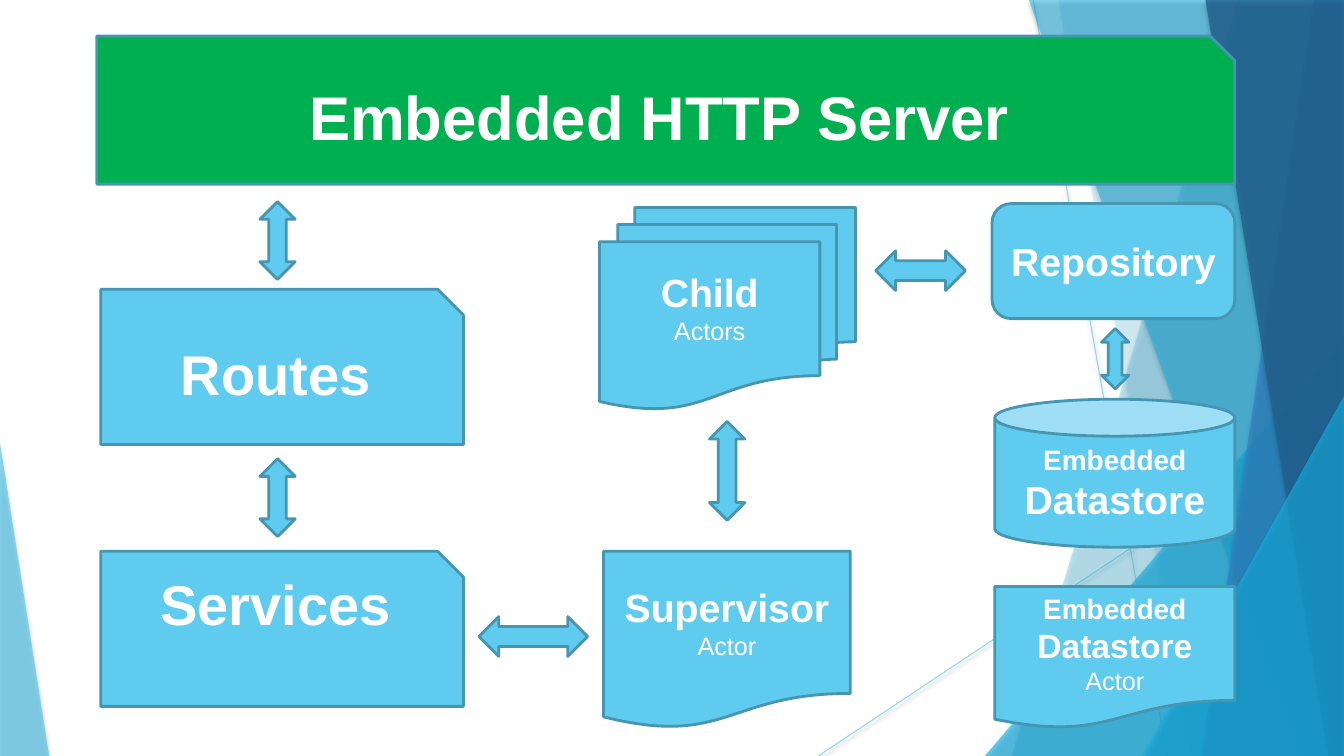
from dataclasses import dataclass

from lxml.etree import SubElement
from pptx import Presentation
from pptx.dml.color import RGBColor
from pptx.enum.shapes import MSO_CONNECTOR, MSO_SHAPE
from pptx.enum.text import MSO_ANCHOR, MSO_AUTO_SIZE, PP_ALIGN
from pptx.oxml.ns import qn
from pptx.util import Cm, Pt


@dataclass(frozen=True)
class Theme:
    font: str = "Arial"
    text: str = "FFFFFF"
    sky: str = "5FCBEF"
    edge: str = "4696B1"
    green: str = "00B050"
    cyan: str = "17B0E4"
    blue: str = "2E83C3"
    navy: str = "226292"
    title: int = 44
    heading: int = 40
    name: int = 28
    mid: int = 24
    small: int = 20
    note: int = 18
    outline: float = 2


T = Theme()
W, H = 33.87, 19.05


# Shared drawing helpers
def set_alpha(shape, percent):
    for clr in shape.element.spPr.iter(qn("a:srgbClr")):
        SubElement(clr, qn("a:alpha"), val=str(percent * 1000))


def cast_shadow(shape, alpha, blur, dist):
    effects = SubElement(shape.element.spPr, qn("a:effectLst"))
    shadow = SubElement(effects, qn("a:outerShdw"), blurRad=str(Pt(blur)),
                        dist=str(Pt(dist)), dir="5400000", rotWithShape="0")
    clr = SubElement(shadow, qn("a:srgbClr"), val="000000")
    SubElement(clr, qn("a:alpha"), val=str(alpha * 1000))


def tint_facet(sp, color, alpha):
    sp.fill.solid()
    sp.fill.fore_color.rgb = RGBColor.from_string(color)
    sp.line.fill.background()
    set_alpha(sp, alpha)
    cast_shadow(sp, 35, 3, 2)


def write(sp, lines, bottom=0.13):
    """Write one centred paragraph per (text, size, bold) line."""
    tf = sp.text_frame
    tf.word_wrap = True
    tf.auto_size = MSO_AUTO_SIZE.NONE
    tf.vertical_anchor = MSO_ANCHOR.MIDDLE
    tf.margin_left = tf.margin_right = Cm(0.25)
    tf.margin_top, tf.margin_bottom = Cm(0.13), Cm(bottom)
    for i, (text, size, bold) in enumerate(lines):
        p = tf.add_paragraph() if i else tf.paragraphs[0]
        p.alignment = PP_ALIGN.CENTER
        r = p.add_run()
        r.text = text
        r.font.name, r.font.size, r.font.bold = T.font, Pt(size), bold
        r.font.color.rgb = RGBColor.from_string(T.text)


def add_block(s, kind, box, lines=(), fill=T.sky, bottom=0.13):
    sp = s.shapes.add_shape(kind, *map(Cm, box))
    sp.shadow.inherit = False
    sp.fill.solid()
    sp.fill.fore_color.rgb = RGBColor.from_string(fill)
    sp.line.color.rgb = RGBColor.from_string(T.edge)
    sp.line.width = Pt(T.outline)
    if lines:
        write(sp, lines, bottom)
    return sp


# Translucent facets behind the diagram
def backdrop(s, box):
    x, y, w, h = box
    for x1, y1, x2, y2 in ((26.04, 0, 29.41, h), (w, 10.24, 20.62, h)):
        line = s.shapes.add_connector(MSO_CONNECTOR.STRAIGHT, Cm(x + x1), Cm(y + y1),
                                      Cm(x + x2), Cm(y + y2))
        line.line.color.rgb = RGBColor.from_string(T.sky)
        line.line.width = Pt(0.74)
        set_alpha(line, 70)
        cast_shadow(line, 38, 3.1, 1.6)

    def band(top, foot, color, alpha):
        points = [(top, 0), (w, 0), (w, h), (foot, h)]
        points = [(Cm(x + px), Cm(y + py)) for px, py in points]
        fb = s.shapes.build_freeform(*points[0])
        fb.add_line_segments(points[1:], close=True)
        tint_facet(fb.convert_to_shape(), color, alpha)

    def corner(left, top, width, apex, color, alpha):
        sp = s.shapes.add_shape(MSO_SHAPE.ISOSCELES_TRIANGLE, Cm(x + left),
                                Cm(y + top), Cm(width), Cm(h - top))
        sp.adjustments[0] = apex
        tint_facet(sp, color, alpha)

    band(31.19, 25.5, T.sky, 36)
    band(26.67, 30.02, T.sky, 20)
    corner(24.82, 8.46, w - 24.82, 1, T.cyan, 66)
    band(25.93, 32.79, T.cyan, 50)
    band(33.1, 30.28, T.blue, 70)
    band(30.38, 33.48, T.navy, 80)
    corner(28.8, 9.98, w - 28.8, 1, T.cyan, 66)
    corner(0, 11.15, 1.24, 0, T.sky, 70)


# Server banner with the slide title on it
def server_banner(s, box):
    x, y, w, h = box
    banner = add_block(s, MSO_SHAPE.SNIP_1_RECTANGLE, box, fill=T.green)
    snip = h / 12
    title = s.shapes.title
    title.left, title.top = Cm(x), Cm(y + snip)
    title.width, title.height = Cm(w - snip), Cm(h - snip)
    write(title, [("Embedded HTTP Server", T.title, True)])
    banner.element.addnext(title.element)


# Routes and services, each below a vertical arrow
def web_column(s, box):
    x, y, w, h = box
    card_h = 3.91
    for i, (text, bottom) in enumerate((("Routes", 0.13), ("Services", 1.76))):
        add_block(s, MSO_SHAPE.UP_DOWN_ARROW, (x + 4.01, y + 6.48 * i, 0.89, 1.96))
        add_block(s, MSO_SHAPE.SNIP_1_RECTANGLE,
                  (x, y + h - card_h - 6.6 * (1 - i), w, card_h),
                  [(text, T.heading, True)], bottom=bottom)


# Child actors above their supervisor
def actor_column(s, box):
    x, y, w, h = box
    add_block(s, MSO_SHAPE.FLOWCHART_MULTIDOCUMENT, (x, y, w, 5.08),
              [("Child", T.name, True), ("Actors", T.note, False)], bottom=0.86)
    add_block(s, MSO_SHAPE.UP_DOWN_ARROW, (x + 2.77, y + 5.39, 0.89, 2.49))
    add_block(s, MSO_SHAPE.FLOWCHART_DOCUMENT, (x + 0.1, y + h - 4.47, 6.22, 4.47),
              [("Supervisor", T.name, True), ("Actor", T.note, False)])


# Repository, its database and the database actor
def storage_column(s, box):
    x, y, w, h = box
    add_block(s, MSO_SHAPE.FLOWCHART_ALTERNATE_PROCESS, (x, y, w, 2.9),
              [("Repository", T.name, True)])
    add_block(s, MSO_SHAPE.UP_DOWN_ARROW, (x + 2.76, y + 3.15, 0.69, 1.52))
    add_block(s, MSO_SHAPE.CAN, (x + 0.07, y + 4.93, w - 0.07, 3.73),
              [("Embedded", T.small, True), ("Datastore", T.name, True)])
    add_block(s, MSO_SHAPE.FLOWCHART_DOCUMENT, (x + 0.07, y + h - 3.58, w - 0.07, 3.58),
              [("Embedded", T.small, True), ("Datastore", T.mid, True),
               ("Actor", T.note, False)])


# Horizontal arrow filling the box between two columns
def column_link(s, box):
    add_block(s, MSO_SHAPE.LEFT_RIGHT_ARROW, box)


prs = Presentation()
prs.slide_width, prs.slide_height = Cm(W), Cm(H)
s = prs.slides.add_slide(prs.slide_layouts[5])

backdrop(s, (0, 0, W, H))
storage_column(s, (25, 5.13, 6.12, 13.23))
actor_column(s, (15.11, 5.23, 6.45, 13.13))
column_link(s, (22.07, 6.32, 2.26, 1))
server_banner(s, (2.44, 0.91, 28.68, 3.73))
web_column(s, (2.54, 5.08, 9.14, 12.72))
column_link(s, (12.07, 15.54, 2.74, 1))

prs.save("out.pptx")
